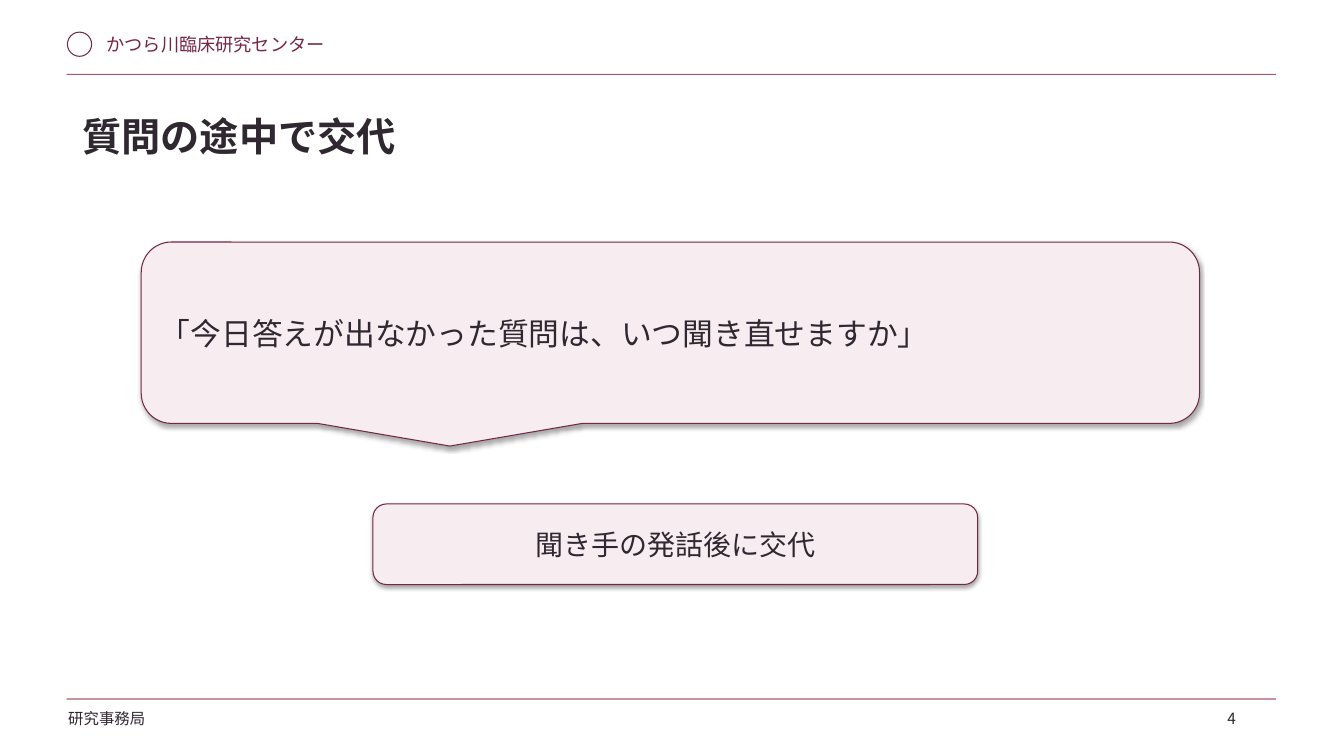
from dataclasses import dataclass

import pptx
import pptx.dml.color
import pptx.enum.shapes
import pptx.enum.text
import pptx.oxml.ns
import pptx.util

Cm = pptx.util.Cm
SHAPE = pptx.enum.shapes.MSO_SHAPE
ALIGN = pptx.enum.text.PP_ALIGN
ANCHOR = pptx.enum.text.MSO_ANCHOR


@dataclass(frozen=True)
class Theme:
    """Colours, font and type sizes of the deck."""
    font: str = "Noto Sans CJK JP"
    ink: str = "302830"
    accent: str = "742747"
    rule: str = "AB586C"
    panel: str = "F7EDF1"
    title_size: float = 28
    quote_size: float = 22
    cue_size: float = 20
    header_size: float = 13
    footer_size: float = 11
    outline: float = 0.75


@dataclass(frozen=True)
class Box:
    """A rectangle in centimetres."""
    left: float
    top: float
    width: float
    height: float

    def inner(self, dx, dy, width, height):
        """Return a box offset from this one's top left corner."""
        return Box(self.left + dx, self.top + dy, width, height)

    def lengths(self):
        """Return left, top, width and height as slide lengths."""
        return Cm(self.left), Cm(self.top), Cm(self.width), Cm(self.height)


THEME = Theme()
RULE_HEIGHT = 0.03


def rgb(value):
    """Turn a hex string into a colour."""
    return pptx.dml.color.RGBColor.from_string(value)


def write(frame, text, size, color=THEME.ink, bold=False, align=ALIGN.LEFT):
    """Set one styled paragraph in a text frame."""
    frame.text = text
    paragraph = frame.paragraphs[0]
    paragraph.alignment = align
    for run in paragraph.runs:
        run.font.name = THEME.font
        run.font.size = pptx.util.Pt(size)
        run.font.bold = bold
        run.font.color.rgb = rgb(color)
        east_asian = run.font._element.makeelement(
            pptx.oxml.ns.qn("a:ea"), {"typeface": THEME.font})
        run.font._element.find(pptx.oxml.ns.qn("a:latin")).addnext(east_asian)


def add_label(slide, box, text, size, color=THEME.ink, wrap=False):
    """Add a plain text box."""
    label = slide.shapes.add_textbox(*box.lengths())
    label.text_frame.word_wrap = wrap
    write(label.text_frame, text, size, color)


def add_rule(slide, box):
    """Add a thin horizontal bar."""
    rule = slide.shapes.add_shape(SHAPE.RECTANGLE, *box.lengths())
    rule.shadow.inherit = False
    rule.fill.solid()
    rule.fill.fore_color.rgb = rgb(THEME.rule)
    rule.line.fill.background()


def outline(shape):
    """Give a shape the thin accent outline."""
    shape.line.color.rgb = rgb(THEME.accent)
    shape.line.width = pptx.util.Pt(THEME.outline)


def add_header(slide, box, centre_name):
    """Place the emblem, the centre's name and the rule below them."""
    emblem = slide.shapes.add_shape(
        SHAPE.OVAL, *box.inner(0.02, 0.1, 0.61, 0.61).lengths())
    emblem.shadow.inherit = False
    emblem.fill.background()
    outline(emblem)
    add_label(slide, box.inner(0.76, 0, 8.38, 0.89), centre_name,
              THEME.header_size, THEME.accent)
    add_rule(slide, box.inner(0, box.height - RULE_HEIGHT, box.width, RULE_HEIGHT))


def add_footer(slide, box, office, page):
    """Place the rule, the office name and the page number."""
    add_rule(slide, box.inner(0, 0, box.width, RULE_HEIGHT))
    add_label(slide, box.inner(-0.21, 0.15, 4.57, 0.91), office, THEME.footer_size)
    add_label(slide, box.inner(29, 0.15, 1.65, 0.76), page,
              THEME.footer_size, wrap=True)


def set_title(slide, box, text):
    """Move and fill the title placeholder."""
    title = slide.shapes.title
    title.left, title.top, title.width, title.height = box.lengths()
    frame = title.text_frame
    frame.auto_size = pptx.enum.text.MSO_AUTO_SIZE.NONE
    frame.word_wrap = True
    frame.vertical_anchor = ANCHOR.TOP
    frame.margin_left = frame.margin_right = Cm(0.25)
    frame.margin_top = frame.margin_bottom = Cm(0.25)
    write(frame, text, THEME.title_size, bold=True)


def add_panel(slide, kind, box, text, size, align):
    """Add a tinted panel that keeps the theme shadow."""
    panel = slide.shapes.add_shape(kind, *box.lengths())
    panel.fill.solid()
    panel.fill.fore_color.rgb = rgb(THEME.panel)
    outline(panel)
    panel.text_frame.word_wrap = True
    panel.text_frame.vertical_anchor = ANCHOR.MIDDLE
    write(panel.text_frame, text, size, align=align)


def add_exchange(slide, box):
    """Place the spoken question and the cue to change roles."""
    add_panel(slide, SHAPE.ROUNDED_RECTANGULAR_CALLOUT,
              box.inner(0, 0, box.width, 4.57),
              "「今日答えが出なかった質問は、いつ聞き直せますか」",
              THEME.quote_size, ALIGN.LEFT)
    add_panel(slide, SHAPE.ROUNDED_RECTANGLE,
              box.inner(5.84, 6.6, 15.24, 2.03),
              "聞き手の発話後に交代", THEME.cue_size, ALIGN.CENTER)


def main():
    """Build and save the slide."""
    deck = pptx.Presentation()
    deck.slide_width, deck.slide_height = Cm(33.87), Cm(19.05)
    slide = deck.slides.add_slide(deck.slide_layouts.get_by_name("Title Only"))
    add_header(slide, Box(1.68, 0.71, 30.48, 1.18), "かつら川臨床研究センター")
    add_footer(slide, Box(1.68, 17.6, 30.48, 1.06), "研究事務局", "4")
    set_title(slide, Box(1.83, 2.59, 30.23, 2.06), "質問の途中で交代")
    add_exchange(slide, Box(3.56, 6.1, 26.67, 8.63))
    deck.save("out.pptx")


if __name__ == "__main__":
    main()
